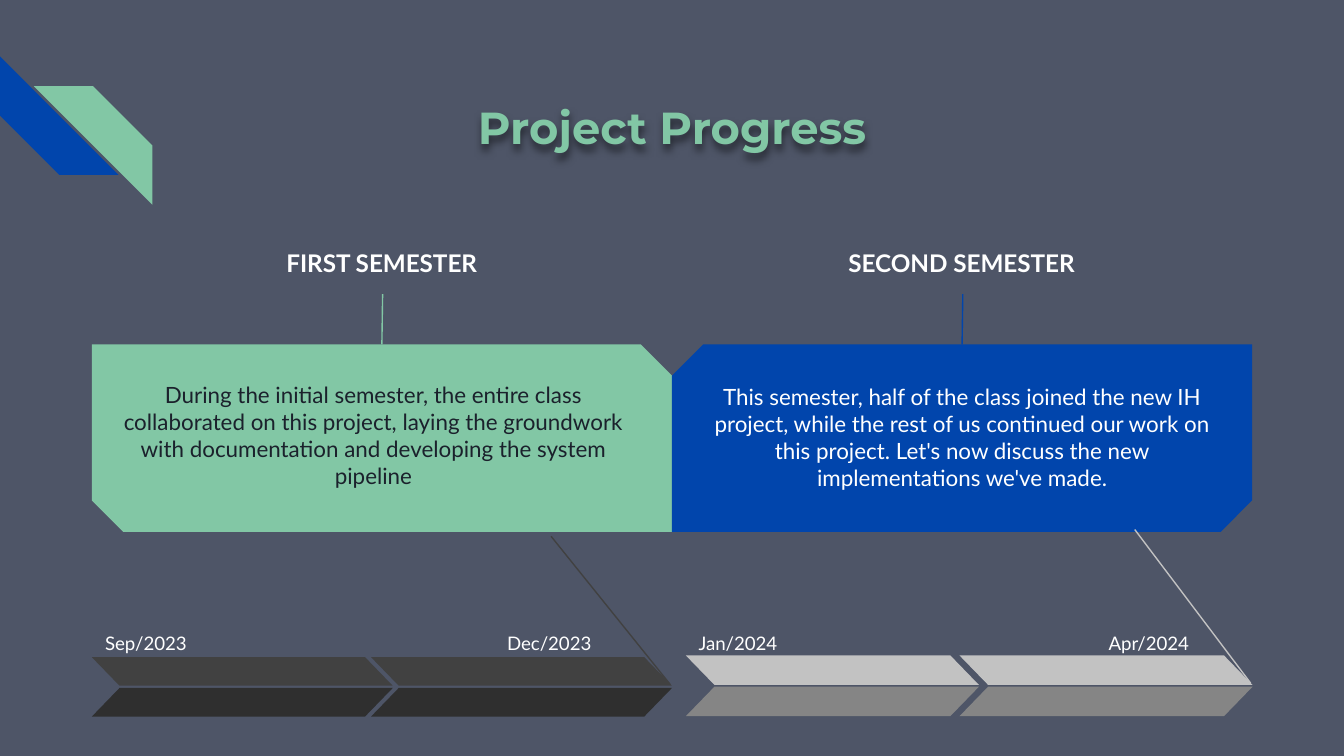
from lxml.etree import SubElement
from pptx import Presentation
from pptx.dml.color import RGBColor
from pptx.enum.shapes import MSO_CONNECTOR, MSO_SHAPE
from pptx.enum.text import MSO_ANCHOR, PP_ALIGN
from pptx.oxml.ns import qn
from pptx.util import Pt

COLOURS = {
    "back": "4E5567", "green": "82C7A5", "blue": "0145AC", "white": "FFFFFF",
    "ink": "1B212C", "dark": "414141", "black": "2F2F2F",
    "light": "C2C2C2", "grey": "858585",
}
MID = 360
EDGE = 49.2
BOX_W = MID - EDGE
BOX_TOP = 184.5


def paint(name):
    return RGBColor.from_string(COLOURS[name])


def add_form(slide, kind, box, colour, adjust, flip=False, turn=0):
    form = slide.shapes.add_shape(kind, *map(Pt, box))
    form.shadow.inherit = False
    form.fill.solid()
    form.fill.fore_color.rgb = paint(colour)
    form.line.fill.background()
    for i, value in enumerate(adjust):
        form.adjustments[i] = value
    form.rotation = turn
    if flip:
        form._element.spPr.find(qn("a:xfrm")).set("flipH", "1")


def add_line(slide, start, end, colour):
    line = slide.shapes.add_connector(
        MSO_CONNECTOR.STRAIGHT, *map(Pt, start + end))
    line.line.color.rgb = paint(colour)
    line.line.width = Pt(0.75)
    SubElement(line._element.spPr, qn("a:effectLst"))


def add_text(slide, text, box, size, colour="white", bold=False,
             font="Lato", align=PP_ALIGN.CENTER):
    label = slide.shapes.add_textbox(*map(Pt, box))
    frame = label.text_frame
    frame.word_wrap = True
    frame.vertical_anchor = MSO_ANCHOR.TOP
    frame.margin_left = frame.margin_right = Pt(7.2)
    frame.margin_top = frame.margin_bottom = Pt(7.2)
    frame.text = text
    para = frame.paragraphs[0]
    para.alignment = align
    style = para.runs[0].font
    style.name = font
    style.size = Pt(size)
    style.bold = bold
    style.color.rgb = paint(colour)
    return label


def add_shade(label):
    """Give the text of an unfilled box a soft shadow below it."""
    effects = SubElement(label._element.spPr, qn("a:effectLst"))
    shade = SubElement(effects, qn("a:outerShdw"), blurRad=str(Pt(4)),
                       dist=str(Pt(3)), dir="5400000", algn="bl",
                       rotWithShape="0")
    tint = SubElement(shade, qn("a:srgbClr"), val="000000")
    SubElement(tint, qn("a:alpha"), val="50000")


def add_arrow(slide, left, top, width, height, step, colours):
    """Draw an arrow band from two mirrored parallelograms."""
    for i, colour in enumerate(colours):
        add_form(slide, MSO_SHAPE.PARALLELOGRAM,
                 (left, top + i * step, width, height), colour, [0.97],
                 flip=i == 0)


def add_term(slide, left, colour, flip, name, name_box, text, text_box, ink):
    add_form(slide, MSO_SHAPE.SNIP_2_DIAG_RECTANGLE,
             (left, BOX_TOP, BOX_W, 100.4), colour, [0, 0.167], flip)
    centre = left + BOX_W / 2
    add_line(slide, (centre, BOX_TOP), (centre + 0.4, 157.6), colour)
    add_text(slide, name, name_box, 13, bold=True)
    add_text(slide, text, text_box, 12, ink)


def main():
    deck = Presentation()
    deck.slide_width, deck.slide_height = Pt(720), Pt(405)
    slide = deck.slides.add_slide(deck.slide_layouts[6])
    slide.background.fill.solid()
    slide.background.fill.fore_color.rgb = paint("back")

    stripe = MSO_SHAPE.DIAGONAL_STRIPE
    add_form(slide, stripe, (0, 30.2, 63.5, 63.5), "blue", [0.5], turn=270)
    add_form(slide, stripe, (18.2, 46.2, 63.5, 63.5), "green", [0.5], True)
    title = add_text(slide, "Project Progress", (0, 46.1, 720, 44), 24,
                     "green", True, "Montserrat")
    add_shade(title)

    add_term(slide, EDGE, "green", False,
             "FIRST SEMESTER", (144.7, 126, 119.5, 30.2),
             "During the initial semester, the entire class collaborated on "
             "this project, laying the groundwork with documentation and "
             "developing the system pipeline",
             (51.8, 197, 296.6, 72.7), "ink")
    add_term(slide, MID, "blue", True,
             "SECOND SEMESTER", (437, 126, 156.2, 30.2),
             "This semester, half of the class joined the new IH project, "
             "while the rest of us continued our work on this project. Let's "
             "now discuss the new implementations we've made.",
             (367.2, 198, 296.6, 72.7), "white")

    add_line(slide, (295.2, 287.3), (358.9, 366.5), "dark")
    add_line(slide, (607.9, 283.7), (670, 366), "light")
    for left in (EDGE, 198.8):
        add_arrow(slide, left, 352.1, 161.2, 15.3, 16.5, ("dark", "black"))
    for left in (367.4, 514):
        add_arrow(slide, left, 351.1, 157, 15.8, 16.8, ("light", "grey"))

    dates = {"Sep/2023": EDGE, "Dec/2023": 264.6,
             "Jan/2024": 367.2, "Apr/2024": 586.8}
    for date, left in dates.items():
        add_text(slide, date, (left, 332.6, 62.6, 26.6), 10,
                 align=PP_ALIGN.LEFT)

    deck.save("out.pptx")


if __name__ == "__main__":
    main()
